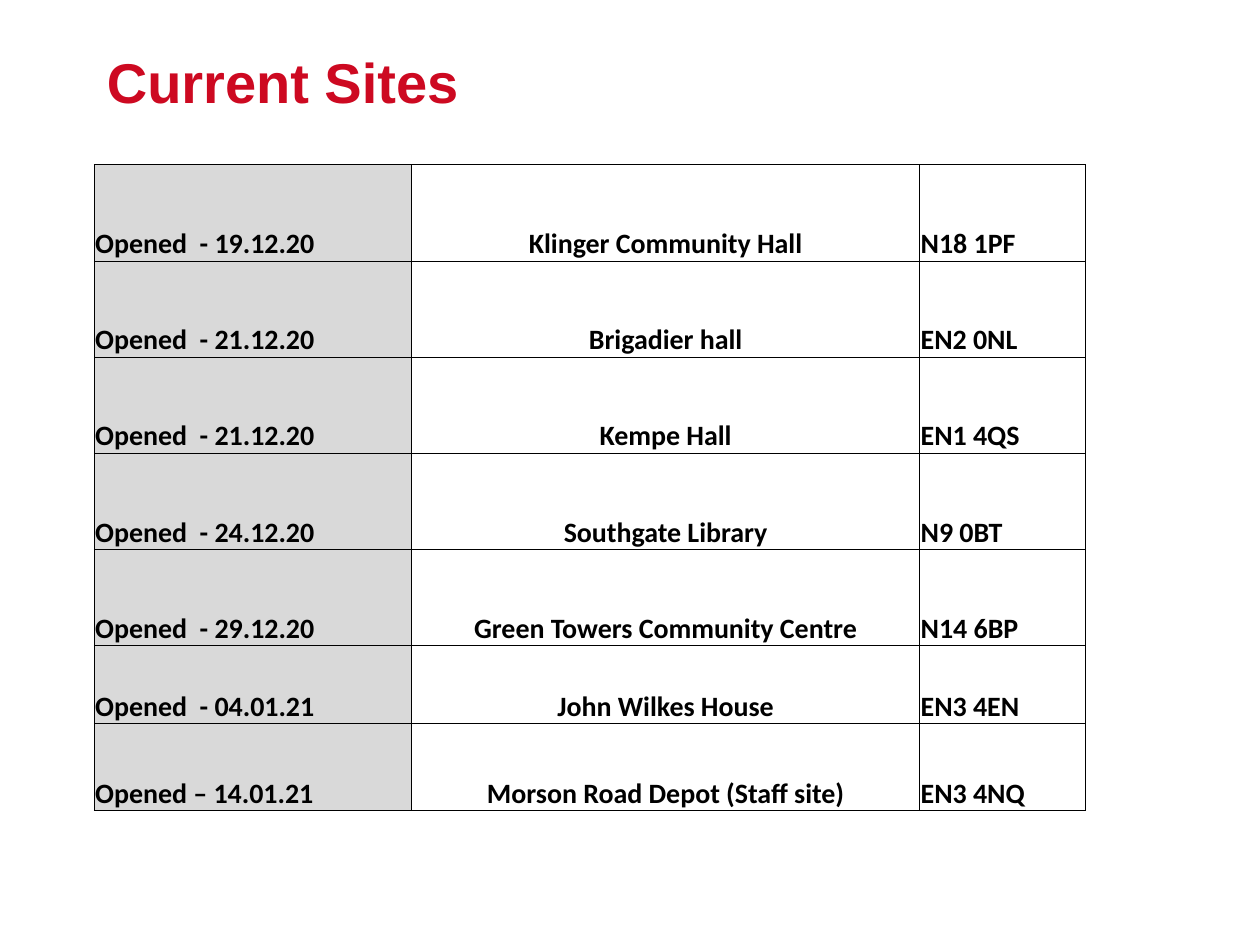
from lxml.etree import SubElement
from pptx import Presentation
from pptx.dml.color import RGBColor
from pptx.enum.text import MSO_ANCHOR, PP_ALIGN
from pptx.oxml.ns import qn
from pptx.util import Cm, Pt

COLORS = {"title": "CD0921", "text": "000000", "border": "000000", "date": "D9D9D9"}
COLUMN_WIDTHS = [6.4, 10.24, 3.35]
ROW_HEIGHTS = [1.94] * 5 + [1.57, 1.75]
ALIGNMENTS = [PP_ALIGN.LEFT, PP_ALIGN.CENTER, PP_ALIGN.LEFT]
SITES = [
    ("Opened  - 19.12.20", "Klinger Community Hall", "N18 1PF"),
    ("Opened  - 21.12.20", "Brigadier hall", "EN2 0NL"),
    ("Opened  - 21.12.20", "Kempe Hall", "EN1 4QS"),
    ("Opened  - 24.12.20", "Southgate Library", "N9 0BT"),
    ("Opened  - 29.12.20", "Green Towers Community Centre", "N14 6BP"),
    ("Opened  - 04.01.21", "John Wilkes House", "EN3 4EN"),
    ("Opened – 14.01.21", "Morson Road Depot (Staff site)", "EN3 4NQ"),
]


def write_text(tf, text, font="Calibri", size=16, color="text", align=PP_ALIGN.LEFT):
    """Write one bold paragraph into a text frame."""
    p = tf.paragraphs[0]
    p.alignment = align
    r = p.add_run()
    r.text = text
    r.font.name = font
    r.font.size = Pt(size)
    r.font.bold = True
    r.font.color.rgb = RGBColor.from_string(COLORS[color])


def add_borders(cell):
    """Draw a thin line on all four sides of a cell."""
    tcPr = cell._tc.get_or_add_tcPr()
    for side in ("lnL", "lnR", "lnT", "lnB"):
        ln = SubElement(tcPr, qn(f"a:{side}"), w=str(Pt(0.5)))
        fill = SubElement(ln, qn("a:solidFill"))
        SubElement(fill, qn("a:srgbClr"), val=COLORS["border"])


def format_cell(cell, text, align, fill=None):
    """Fill, frame and write one table cell."""
    cell.margin_left = cell.margin_right = cell.margin_top = Cm(0.02)
    cell.margin_bottom = 0
    cell.vertical_anchor = MSO_ANCHOR.BOTTOM
    add_borders(cell)
    if fill:
        cell.fill.solid()
        cell.fill.fore_color.rgb = RGBColor.from_string(COLORS[fill])
    else:
        cell.fill.background()
    write_text(cell.text_frame, text, align=align)


def add_title(s, text):
    """Place and format the title placeholder."""
    sp = s.shapes.title
    sp.left, sp.top, sp.width, sp.height = Cm(1.9), Cm(0.84), Cm(22.66), Cm(3.18)
    sp.text_frame.vertical_anchor = MSO_ANCHOR.TOP
    write_text(sp.text_frame, text, font="Arial", size=32, color="title")


def add_sites_table(s):
    """Add the table of opening dates, sites and postcodes."""
    table = s.shapes.add_table(
        len(SITES), len(COLUMN_WIDTHS), Cm(1.9), Cm(3.32),
        Cm(sum(COLUMN_WIDTHS)), Cm(sum(ROW_HEIGHTS)),
    ).table
    table.first_row = table.horz_banding = False
    for column, width in zip(table.columns, COLUMN_WIDTHS):
        column.width = Cm(width)
    for row, height, site in zip(table.rows, ROW_HEIGHTS, SITES):
        row.height = Cm(height)
        for cell, text, align, fill in zip(row.cells, site, ALIGNMENTS, ["date", None, None]):
            format_cell(cell, text, align, fill)


def main():
    """Build and save the slide."""
    prs = Presentation()
    prs.slide_width, prs.slide_height = Cm(25.4), Cm(19.05)
    s = prs.slides.add_slide(prs.slide_layouts[5])
    add_title(s, "Current Sites")
    add_sites_table(s)
    prs.save("out.pptx")


if __name__ == "__main__":
    main()
